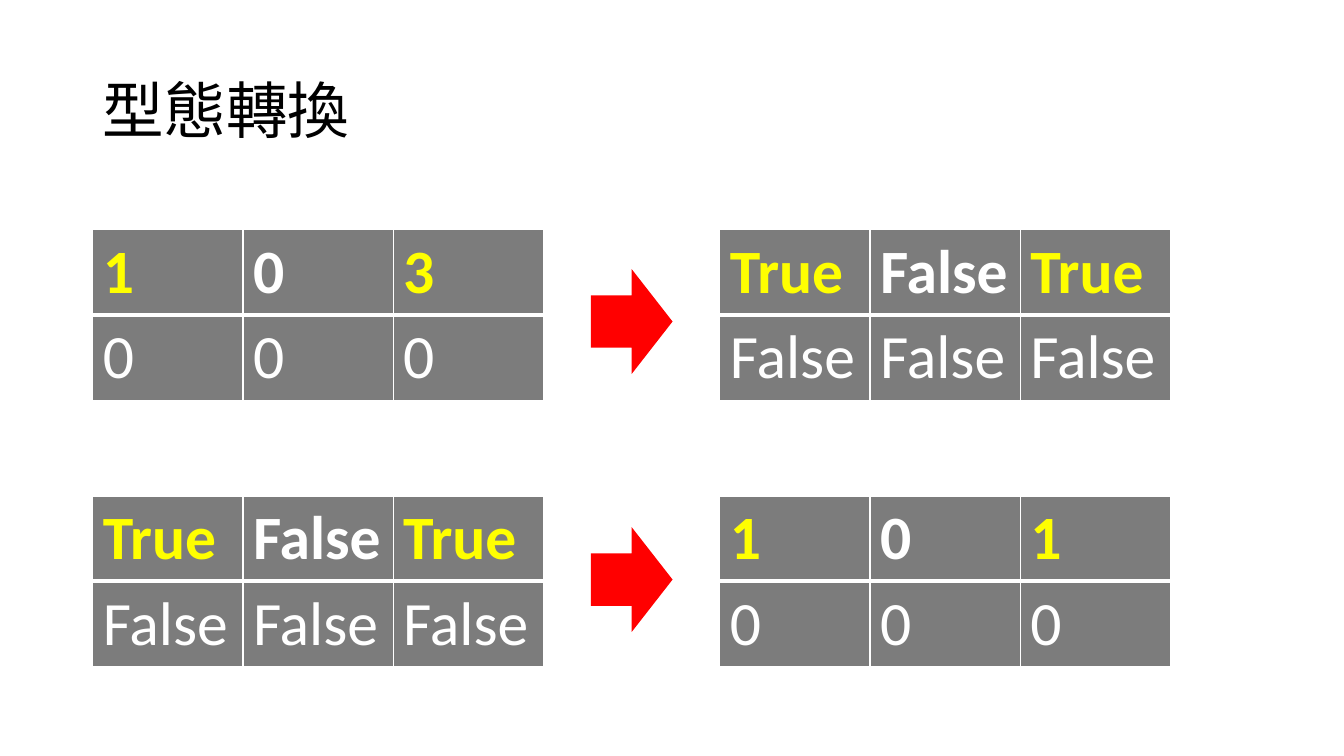
from dataclasses import dataclass

from lxml.etree import SubElement
from pptx import Presentation
from pptx.dml.color import RGBColor
from pptx.enum.shapes import MSO_SHAPE
from pptx.enum.text import MSO_ANCHOR, PP_ALIGN
from pptx.oxml.ns import qn
from pptx.util import Inches, Pt

SLIDE_WIDTH, SLIDE_HEIGHT = Inches(13.33), Inches(7.5)
FONT, TEXT_SIZE = "Calibri", 44
WHITE, BLACK, YELLOW, GREY, RED = "FFFFFF", "000000", "FFFF00", "7C7C7C", "FF0000"
LEFT_TABLE, RIGHT_TABLE, ARROW_LEFT = 6.9, 53.56, 43.96
TABLE_WIDTH, TABLE_HEIGHT = 33.53, 22.27
ARROW_WIDTH, ARROW_HEIGHT = 6.08, 13.87
THIN, THICK = 1, 3


@dataclass(frozen=True)
class Conversion:
    """One matrix, its converted matrix and the arrow between them."""

    table_top: float
    arrow_top: float
    before: list[list[str]]
    after: list[list[str]]


NUMBERS = [["1", "0", "3"], ["0", "0", "0"]]
BOOLEANS = [["True", "False", "True"], ["False", "False", "False"]]
BITS = [["1", "0", "1"], ["0", "0", "0"]]
CONVERSIONS = [
    Conversion(30.4, 35.6, NUMBERS, BOOLEANS),
    Conversion(65.6, 69.73, BOOLEANS, BITS),
]


def color(hex_value: str) -> RGBColor:
    """Turn a hex string into a colour."""
    return RGBColor.from_string(hex_value)


def box(left: float, top: float, width: float, height: float) -> tuple[int, ...]:
    """Turn percentages of the slide into left, top, width and height."""
    sides = (SLIDE_WIDTH, SLIDE_HEIGHT) * 2
    return tuple(int(side * share / 100) for side, share in zip(sides, (left, top, width, height)))


def write(text_frame, text: str, *, fill: str, bold: bool = False, spacing: float = 1.0) -> None:
    """Write one formatted paragraph into a text frame."""
    paragraph = text_frame.paragraphs[0]
    paragraph.alignment = PP_ALIGN.LEFT
    paragraph.line_spacing = spacing
    run = paragraph.add_run()
    run.text = text
    run.font.name, run.font.size, run.font.bold = FONT, Pt(TEXT_SIZE), bold
    run.font.color.rgb = color(fill)


def add_borders(cell, top: int, bottom: int) -> None:
    """Draw white borders around a cell, before its fill is set."""
    properties = cell._tc.get_or_add_tcPr()
    for side, width in (("L", THIN), ("R", THIN), ("T", top), ("B", bottom)):
        line = SubElement(properties, qn(f"a:ln{side}"), w=str(Pt(width)))
        solid = SubElement(line, qn("a:solidFill"))
        SubElement(solid, qn("a:srgbClr"), val=WHITE)


def add_matrix(slide, left: float, top: float, values: list[list[str]]) -> None:
    """Add a table whose true entries are yellow and whose first row is bold."""
    frame = slide.shapes.add_table(
        len(values), len(values[0]), *box(left, top, TABLE_WIDTH, TABLE_HEIGHT)
    )
    table = frame.table
    table.horz_banding = False
    for row, entries in enumerate(values):
        header = row == 0
        for column, entry in enumerate(entries):
            cell = table.cell(row, column)
            add_borders(cell, THIN if header else THICK, THICK if header else THIN)
            cell.fill.solid()
            cell.fill.fore_color.rgb = color(GREY)
            fill = WHITE if entry in ("0", "False") else YELLOW
            write(cell.text_frame, entry, fill=fill, bold=header)


def add_arrow(slide, top: float) -> None:
    """Add a red arrow pointing right."""
    arrow = slide.shapes.add_shape(
        MSO_SHAPE.RIGHT_ARROW, *box(ARROW_LEFT, top, ARROW_WIDTH, ARROW_HEIGHT)
    )
    arrow.shadow.inherit = False
    arrow.fill.solid()
    arrow.fill.fore_color.rgb = color(RED)
    arrow.line.fill.background()


def add_title(slide, text: str) -> None:
    """Place and fill the title placeholder."""
    title = slide.shapes.title
    title.left, title.top, title.width, title.height = box(6.9, 5.33, 86.27, 19.33)
    title.text_frame.vertical_anchor = MSO_ANCHOR.MIDDLE
    write(title.text_frame, text, fill=BLACK, spacing=0.9)


def main() -> None:
    """Build the slide and save it."""
    presentation = Presentation()
    presentation.slide_width, presentation.slide_height = SLIDE_WIDTH, SLIDE_HEIGHT
    slide = presentation.slides.add_slide(presentation.slide_layouts.get_by_name("Title Only"))
    add_title(slide, "型態轉換")
    for conversion in CONVERSIONS:
        add_matrix(slide, LEFT_TABLE, conversion.table_top, conversion.before)
        add_arrow(slide, conversion.arrow_top)
        add_matrix(slide, RIGHT_TABLE, conversion.table_top, conversion.after)
    presentation.save("out.pptx")


if __name__ == "__main__":
    main()
